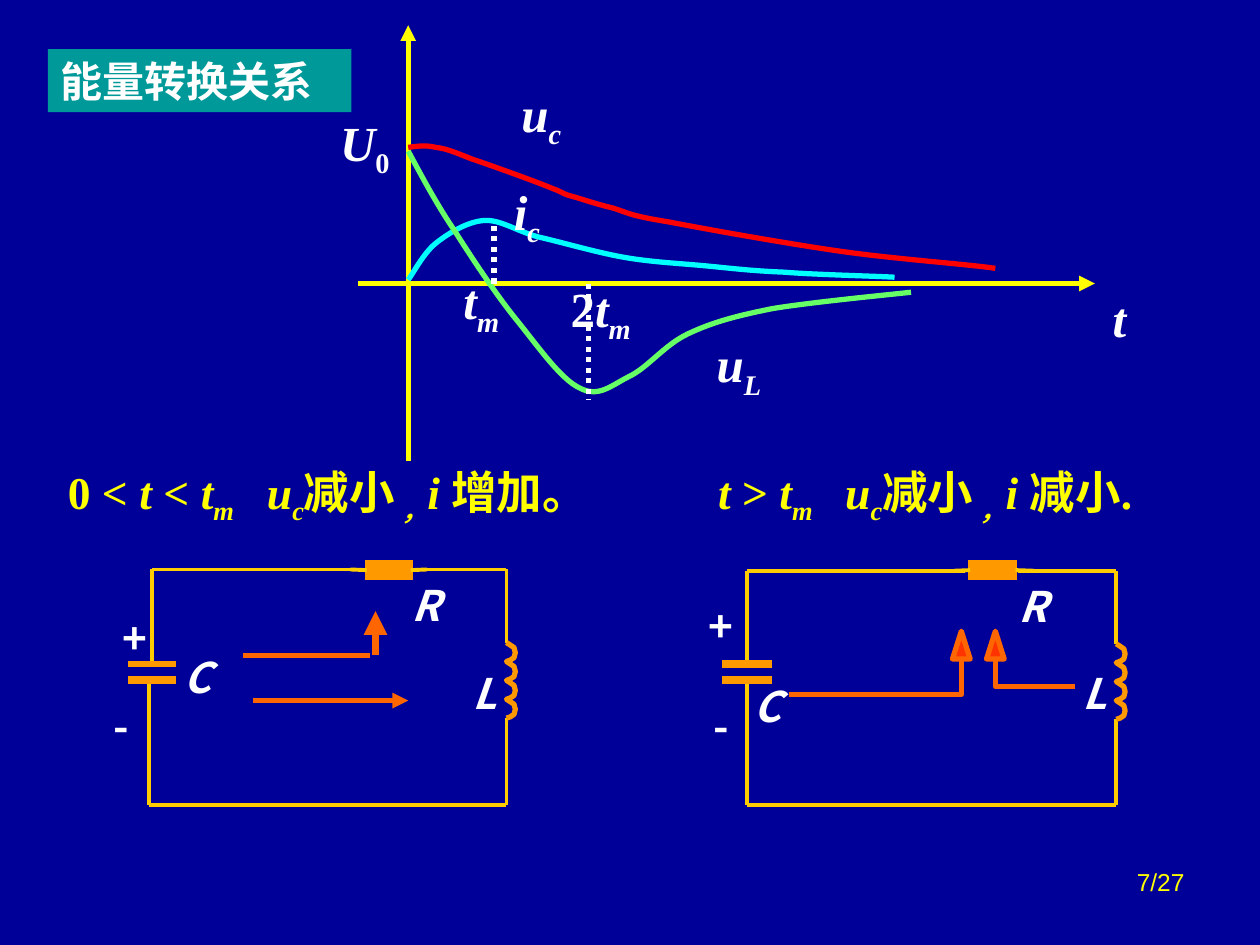
from lxml import etree
from pptx import Presentation
from pptx.dml.color import RGBColor
from pptx.enum.dml import MSO_LINE
from pptx.enum.shapes import MSO_CONNECTOR, MSO_SHAPE
from pptx.enum.text import MSO_ANCHOR, PP_ALIGN
from pptx.oxml.ns import qn
from pptx.util import Inches, Pt

STRAIGHT = MSO_CONNECTOR.STRAIGHT
RECTANGLE = MSO_SHAPE.RECTANGLE
DOTTED = MSO_LINE.ROUND_DOT
TOP, MIDDLE = MSO_ANCHOR.TOP, MSO_ANCHOR.MIDDLE
LEFT, CENTER, RIGHT = PP_ALIGN.LEFT, PP_ALIGN.CENTER, PP_ALIGN.RIGHT
SERIF, SANS, PLAIN = "Times New Roman", "Noto Sans CJK SC", "Arial"
COLORS = {name: RGBColor.from_string(value) for name, value in {
    "background": "000099", "banner": "009999", "white": "FFFFFF",
    "yellow": "FFFF00", "wire": "FFCC00", "part": "FF9900",
    "current": "FF6600", "arrowhead": "FF3300",
    "u_c": "FF0000", "i_c": "00FFFF", "u_l": "66FF66"}.items()}

presentation = Presentation()
presentation.slide_width, presentation.slide_height = Inches(10), Inches(7.5)
slide = presentation.slides.add_slide(presentation.slide_layouts[6])
slide.background.fill.solid()
slide.background.fill.fore_color.rgb = COLORS["background"]
shapes = slide.shapes


def add_line(start, end, color, width, arrow=False):
    line = shapes.add_connector(STRAIGHT, *map(Inches, start + end))
    line.line.color.rgb = COLORS[color]
    line.line.width = Pt(width)
    etree.SubElement(line._element.spPr, qn("a:effectLst"))
    if arrow:
        etree.SubElement(line.line._get_or_add_ln(), qn("a:tailEnd"), type="triangle")
    return line


def write(shape, runs, size=28, color="white", font=SERIF, bold=True, margin=0.1,
          align=LEFT, anchor=TOP, wrap=False, tab=None):
    """Fill a shape with (text, style) runs; style i is italic, s is subscript."""
    frame = shape.text_frame
    frame_format = {
        "word_wrap": wrap, "vertical_anchor": anchor,
        "margin_left": Inches(margin), "margin_right": Inches(margin),
        "margin_top": Inches(margin / 2), "margin_bottom": Inches(margin / 2)}
    for name, value in frame_format.items():
        setattr(frame, name, value)
    paragraph = frame.paragraphs[0]
    paragraph.alignment = align
    if tab:
        tabs = etree.SubElement(paragraph._p.get_or_add_pPr(), qn("a:tabLst"))
        etree.SubElement(tabs, qn("a:tab"), pos=str(Inches(tab)), algn="l")
    for text, style in runs:
        run = paragraph.add_run()
        run.text = text
        run_format = {"name": font, "size": Pt(size), "bold": bold, "italic": "i" in style}
        for name, value in run_format.items():
            setattr(run.font, name, value)
        run.font.color.rgb = COLORS[color]
        if "s" in style:
            run._r.get_or_add_rPr().set("baseline", "-25000")


# Heading and page number
banner = shapes.add_shape(RECTANGLE, *map(Inches, (0.38, 0.39, 2.41, 0.5)))
banner.shadow.inherit = False
banner.fill.solid()
banner.fill.fore_color.rgb = COLORS["banner"]
banner.line.fill.background()
write(banner, [("能量转换关系", "")], size=24, wrap=True)
page_number = shapes.add_textbox(*map(Inches, (7.17, 6.83, 2.33, 0.52)))
write(page_number, [("7/27", "")], size=14, color="yellow", font=PLAIN,
      bold=False, align=RIGHT, wrap=True)

# Axes
add_line((2.84, 2.25), (8.69, 2.25), "yellow", 3, arrow=True)
add_line((3.24, 3.66), (3.24, 0.2), "yellow", 3, arrow=True)

# Curves: a start point, then two control points and an end point per segment
curves = {
    "u_c": [(3.24, 1.17), (3.31, 1.16), (3.38, 1.15), (3.46, 1.17),
            (3.54, 1.18), (3.59, 1.2), (3.74, 1.26), (3.89, 1.31), (4.25, 1.44), (4.37, 1.49),
            (4.5, 1.54), (4.43, 1.52), (4.51, 1.55), (4.59, 1.57), (4.73, 1.62), (4.86, 1.65),
            (4.99, 1.69), (4.99, 1.71), (5.3, 1.76), (5.61, 1.82), (6.28, 1.94), (6.71, 2),
            (7.15, 2.06), (7.71, 2.1), (7.9, 2.13)],
    "i_c": [(3.24, 2.22), (3.28, 2.17), (3.36, 2.01), (3.46, 1.93),
            (3.56, 1.85), (3.71, 1.76), (3.84, 1.75), (3.97, 1.74), (4.09, 1.83), (4.27, 1.88),
            (4.45, 1.92), (4.72, 2), (4.94, 2.04), (5.16, 2.08), (5.39, 2.09), (5.6, 2.11),
            (5.81, 2.13), (5.97, 2.15), (6.22, 2.16), (6.47, 2.18), (6.91, 2.19), (7.1, 2.2)],
    "u_l": [(3.24, 1.2), (3.3, 1.31), (3.45, 1.6), (3.6, 1.82),
            (3.74, 2.04), (3.93, 2.33), (4.1, 2.54), (4.27, 2.75), (4.45, 3.01), (4.6, 3.08),
            (4.75, 3.16), (4.85, 3.06), (4.99, 2.99), (5.14, 2.92), (5.27, 2.74), (5.46, 2.65),
            (5.65, 2.56), (5.83, 2.51), (6.13, 2.45), (6.43, 2.4), (7.05, 2.34), (7.23, 2.32)],
}
outlines = [(points, color, None) for color, points in curves.items()]

# Circuits
WIRE_BOTTOM, PLATE_TOP, PLATE_BOTTOM = 6.39, 5.27, 5.4
LEAD, TURNS, PITCH = 0.08, 4, 0.15
TURN = [(0, 0), (0.03, 0.02), (0.06, 0.04), (0.07, 0.08), (0.06, 0.12), (0.03, 0.14)]
circuits = [
    {"upper": 1.21, "lower": 1.18, "right": 4.02, "top": 4.52, "resistor": (2.91, 0.35),
     "stubs": (2.78, 3.39), "top_wires": [(1.21, 2.02), (1.99, 2.43), (2.24, 2.86), (3.27, 4.02)],
     "plate_leads": [], "plates": (1.02, 1.4), "plate_width": 3,
     "labels": {"R": (3.27, 4.6), "L": (3.75, 5.3), "C": (1.46, 5.17),
                "+": (0.97, 4.86), "-": (0.9, 5.56)}},
    {"upper": 5.93, "lower": 5.93, "right": 8.86, "top": 4.53, "resistor": (7.7, 0.36),
     "stubs": (7.57, 8.21), "top_wires": [(5.93, 6.78), (6.75, 7.2), (7.01, 7.66), (8.08, 8.86)],
     "plate_leads": [(5.15, 5.27), (5.4, 5.52)], "plates": (5.73, 6.13), "plate_width": 4.5,
     "labels": {"R": (8.08, 4.61), "L": (8.59, 5.3), "C": (5.98, 5.4),
                "+": (5.62, 4.77), "-": (5.66, 5.56)}},
]
LABEL_WIDTHS = {"R": 0.17, "L": 0.17, "C": 0.2, "+": 0.19, "-": 0.11}
for circuit in circuits:
    upper, lower, right, top = (circuit[key] for key in ("upper", "lower", "right", "top"))
    resistor_left, resistor_width = circuit["resistor"]
    resistor = shapes.add_shape(RECTANGLE, *map(
        Inches, (resistor_left, 4.46, resistor_width, 0.13)))
    resistor.shadow.inherit = False
    resistor.fill.solid()
    resistor.fill.fore_color.rgb = resistor.line.color.rgb = COLORS["part"]
    resistor.line.width = Pt(2.25)
    etree.SubElement(resistor.line._get_or_add_ln(), qn("a:miter"), lim="800000")
    for x, side in zip(circuit["stubs"], (1, 3)):
        stub = add_line((x, top), (resistor_left, top), "wire", 2.25)
        stub.end_connect(resistor, side)
    coil_top = top + 0.58
    coil_bottom = coil_top + TURNS * PITCH
    wires = [((start, top), (end, top)) for start, end in circuit["top_wires"]]
    wires += [((upper, start), (upper, end)) for start, end in circuit["plate_leads"]]
    wires += [((right, start), (right, end)) for start, end in (
        (top, coil_top - LEAD), (coil_top - LEAD, coil_top),
        (coil_bottom, coil_bottom + LEAD), (coil_bottom + LEAD, WIRE_BOTTOM))]
    wires += [((lower, WIRE_BOTTOM), (right, WIRE_BOTTOM)),
              ((upper, top), (upper, PLATE_TOP)),
              ((lower, PLATE_BOTTOM), (lower, WIRE_BOTTOM))]
    for start, end in wires:
        add_line(start, end, "wire", 2.25)
    plate_left, plate_right = circuit["plates"]
    for y, width in ((PLATE_TOP, circuit["plate_width"]), (PLATE_BOTTOM, 4.5)):
        add_line((plate_left, y), (plate_right, y), "part", width)
    coil = [(right + x, coil_top + turn * PITCH + y) for turn in range(TURNS) for x, y in TURN]
    outlines.append((coil + [(right, coil_bottom)], "part", None))
    for text, (label_left, label_top) in circuit["labels"].items():
        label = shapes.add_textbox(*map(
            Inches, (label_left, label_top, LABEL_WIDTHS[text], 0.4)))
        write(label, [(text, "i" if text.isalpha() else "")], size=24, font=SANS, margin=0)

# Currents: straight in the left circuit, bent with open arrowheads in the right one
add_line((1.93, 5.2), (2.94, 5.2), "current", 3)
add_line((2.98, 5.2), (2.98, 4.85), "current", 4.5, arrow=True)
add_line((2.01, 5.56), (3.24, 5.56), "current", 3, arrow=True)
for tail, x, y in ((6.26, 7.63, 5.51), (8.53, 7.9, 5.45)):
    outlines.append(([(tail, y), (x, y), (x, 5.21)], "current", None))
    outlines.append(([(x - 0.07, 5.23), (x, 5.01), (x + 0.07, 5.23)], "current", "arrowhead"))

for points, color, fill in outlines:
    corners = [(Inches(x), Inches(y)) for x, y in points]
    builder = shapes.build_freeform(*corners[0])
    builder.add_line_segments(corners[1:], close=fill is not None)
    outline = builder.convert_to_shape()
    outline.shadow.inherit = False
    outline.line.color.rgb = COLORS[color]
    outline.line.width = Pt(3)
    if fill:
        outline.fill.solid()
        outline.fill.fore_color.rgb = COLORS[fill]
    else:
        outline.fill.background()
    if color in curves:  # every three straight steps become one Bézier segment
        outline_path = next(outline._element.iter(qn("a:path")))
        steps = outline_path.findall(qn("a:lnTo"))
        for first in range(0, len(steps), 3):
            segment = etree.SubElement(outline_path, qn("a:cubicBezTo"))
            for step in steps[first:first + 3]:
                segment.append(step[0])
                outline_path.remove(step)

# Graph labels
for left, top, width, runs in (
        (2.6, 0.84, 0.59, [("U", "i"), ("0", "s")]),
        (4.04, 0.61, 0.53, [("u", "i"), ("c", "is")]),
        (3.58, 2.1, 0.49, [("t", "i"), ("m", "is")]),
        (4.43, 2.16, 0.69, [("2", ""), ("t", "i"), ("m", "is")]),
        (5.59, 2.6, 0.57, [("u", "i"), ("L", "is")]),
        (3.98, 1.39, 0.43, [("i", "i"), ("c", "is")])):
    write(shapes.add_textbox(*map(Inches, (left, top, width, 0.63))), runs)
time_label = shapes.add_textbox(*map(Inches, (8.73, 2.24, 0.31, 0.57)))
write(time_label, [("t", "i")], align=CENTER, anchor=MIDDLE)

# Statements for the two time ranges
for left, width, tab, condition, change in (
        (0.44, 4.58, 1.58, [("0 < ", ""), ("t", "i"), (" < ", "")], "增加。"),
        (5.6, 3.95, 1.01, [("t", "i"), (" > ", "")], "减小.")):
    statement = shapes.add_textbox(*map(Inches, (left, 3.63, width, 0.6)))
    write(statement, condition + [("t", "i"), ("m", "is"), ("\tu", "i"), ("c", "is"),
                                  ("减小", ""), (" ，", "is"), ("i ", "i"), (change, "")],
          size=26, color="yellow", wrap=True, tab=tab)

# Markers at the two instants
for x, y in ((3.92, 1.75), (4.67, 3.17)):
    add_line((x, 2.25), (x, y), "white", 3).line.dash_style = DOTTED

presentation.save("out.pptx")
